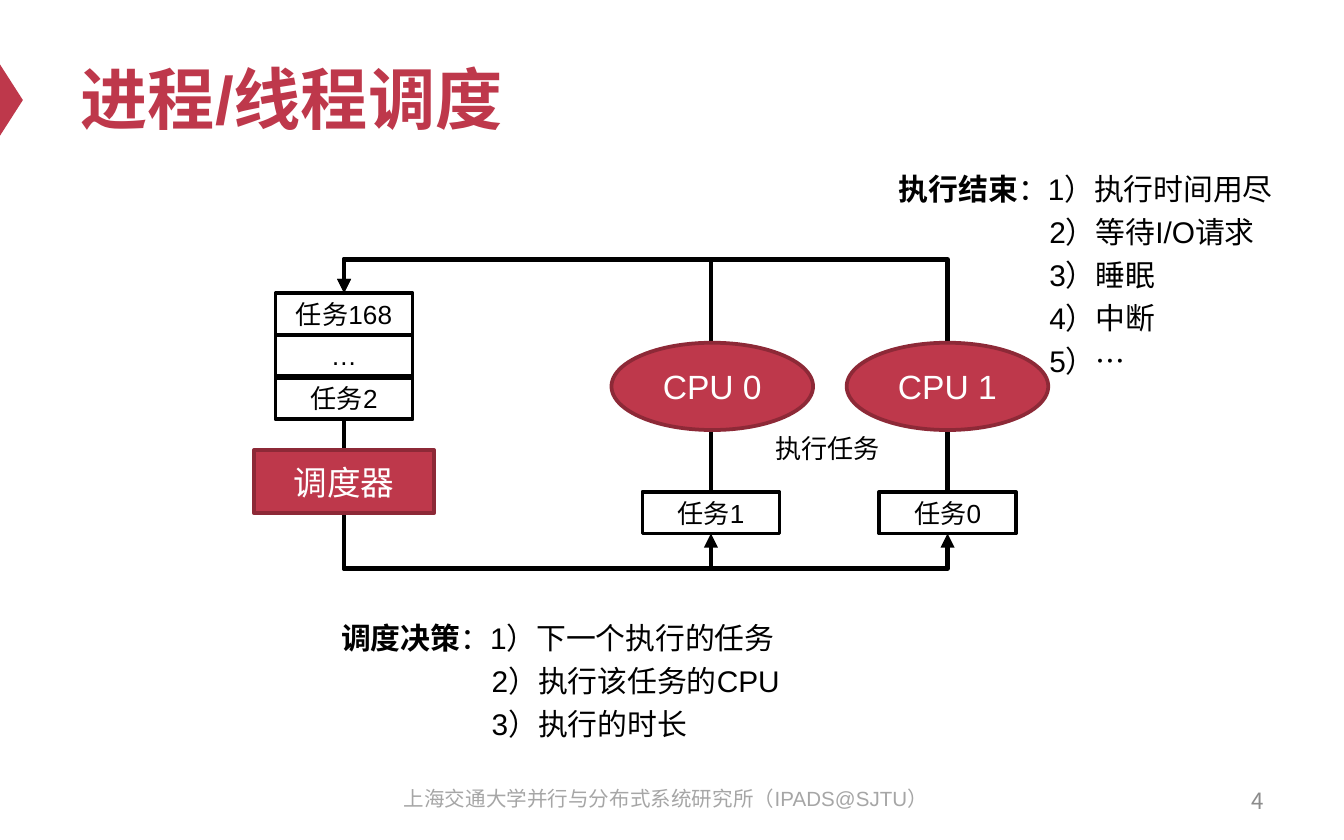
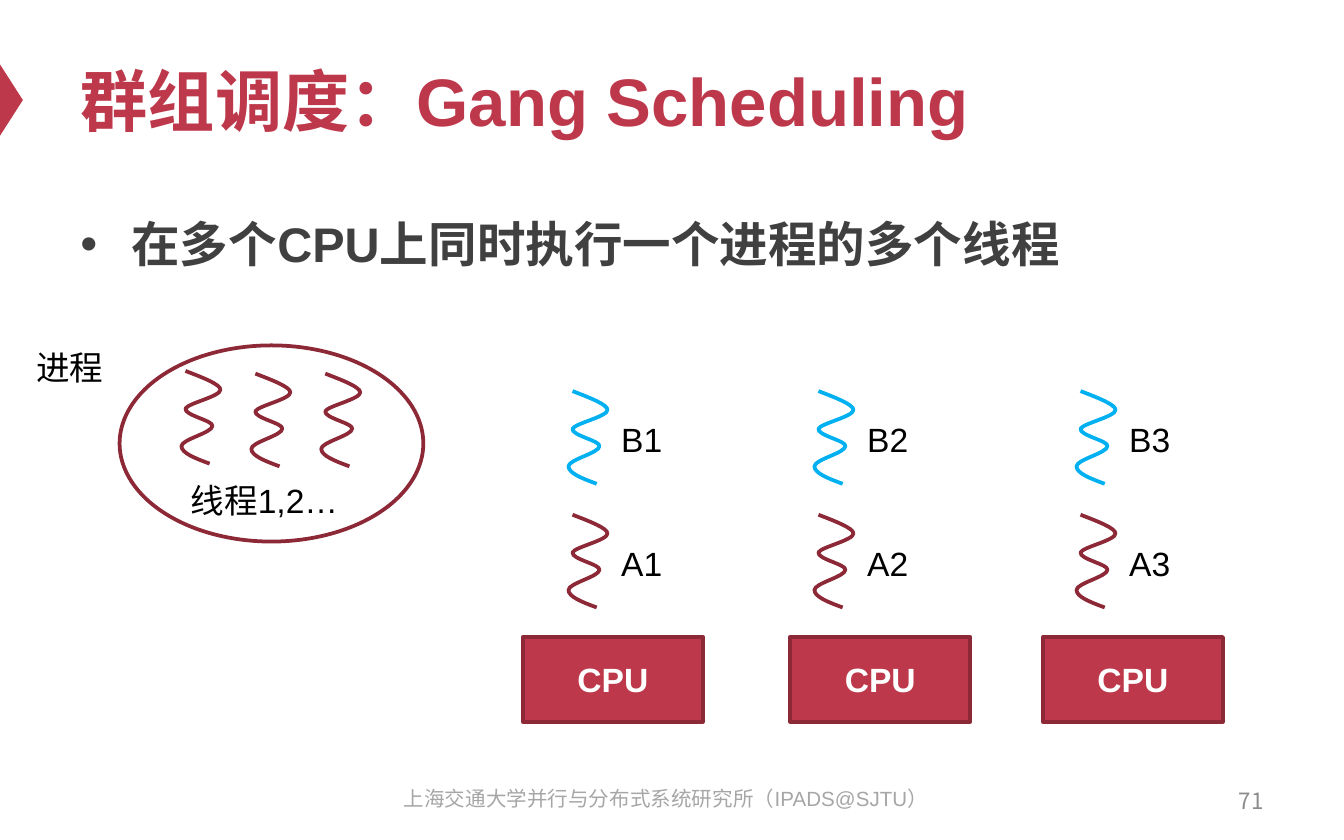
from dataclasses import dataclass
from typing import Optional

from lxml import etree
from pptx import Presentation
from pptx import util as u
from pptx.dml import color
from pptx.enum import shapes, text
from pptx.oxml import ns

# Shared look
PX = 9144  # EMU per px, 100 px to the inch
CRIMSON, MAROON, SKY = "BE384B", "8D2937", "00B0F0"
BLACK, WHITE, CHARCOAL = "000000", "FFFFFF", "404040"
LATIN, CJK = "Arial", "Noto Sans CJK SC"
FOOTER = "上海交通大学并行与分布式系统研究所（IPADS@SJTU）"

LEFT, CENTER, RIGHT = text.PP_ALIGN.LEFT, text.PP_ALIGN.CENTER, text.PP_ALIGN.RIGHT
MIDDLE, TOP = text.MSO_ANCHOR.MIDDLE, text.MSO_ANCHOR.TOP
RECT, OVAL = shapes.MSO_SHAPE.RECTANGLE, shapes.MSO_SHAPE.OVAL


@dataclass
class Box:
    x: int
    y: int
    w: int
    h: int

    def emu(self) -> list:
        return [u.Emu(n * PX) for n in (self.x, self.y, self.w, self.h)]


@dataclass
class Style:
    size: float
    color: str = BLACK
    bold: bool = False
    align: text.PP_ALIGN = LEFT
    font: str = LATIN


@dataclass
class Node:
    """A filled or outlined shape with an optional centred label."""
    box: Box
    label: str = ""
    fill: Optional[str] = None
    line: Optional[str] = MAROON
    style: Optional[Style] = None
    kind: shapes.MSO_SHAPE = RECT


def rgb(value: str) -> color.RGBColor:
    return color.RGBColor.from_string(value)


def sub(parent, tag: str, **attrs: str):
    return etree.SubElement(parent, ns.qn(tag), attrs)


def format_paragraph(paragraph, style: Style) -> None:
    paragraph.alignment = style.align
    font = paragraph.font
    font.name, font.size, font.bold = style.font, u.Pt(style.size), style.bold
    font.color.rgb = rgb(style.color)


def add_node(slide, node: Node, rotation: float = 0):
    shape = slide.shapes.add_shape(node.kind, *node.box.emu())
    shape.rotation = rotation
    shape.shadow.inherit = False
    if node.fill:
        shape.fill.solid()
        shape.fill.fore_color.rgb = rgb(node.fill)
    else:
        shape.fill.background()
    if node.line:
        shape.line.color.rgb = rgb(node.line)
        shape.line.width = u.Pt(2)
    else:
        shape.line.fill.background()
    if node.label:
        shape.text_frame.text = node.label
        shape.text_frame.vertical_anchor = MIDDLE
        format_paragraph(shape.text_frame.paragraphs[0], node.style)
    return shape


def add_label(parent, box: Box, words: str, style: Style, anchor=TOP, grow: bool = True):
    """Add a text box to a slide or a group."""
    frame = parent.shapes.add_textbox(*box.emu()).text_frame
    frame.word_wrap = True
    frame.vertical_anchor = anchor
    if grow:
        frame.auto_size = text.MSO_AUTO_SIZE.SHAPE_TO_FIT_TEXT
    frame.text = words
    format_paragraph(frame.paragraphs[0], style)
    return frame


def add_numbered_note(slide, box: Box, heading: str, items: list) -> None:
    """Bold heading with item 1 beside it and the others indented below."""
    style = Style(16)
    frame = add_label(slide, box, "", style)
    for number, item in enumerate(items, 1):
        if number == 1:
            paragraph = frame.paragraphs[0]
            lead = paragraph.add_run()
            lead.text, lead.font.bold = heading, True
            words = f"：1）{item}"
        else:
            paragraph = frame.add_paragraph()
            paragraph._p.get_or_add_pPr().set("marL", str(112 * PX))
            words = f"{number}）{item}"
        paragraph.add_run().text = words
        paragraph.line_spacing = 1.2
        format_paragraph(paragraph, style)


def add_loop_arrow(slide, start, end, side: int, via_y: int) -> None:
    """U-shaped arrow between the same side (0 top, 2 bottom) of two boxes."""
    def port(shape):
        return shape.left + shape.width // 2, shape.top + shape.height * side // 2

    (x1, y1), (x2, y2) = port(start), port(end)
    arrow = slide.shapes.add_connector(shapes.MSO_CONNECTOR.ELBOW, x1, y1, x2, y2)
    arrow.begin_connect(start, side)
    arrow.end_connect(end, side)
    # The elbow lies on its side, so width and height swap
    arrow.width, arrow.height = abs(y2 - y1), abs(x2 - x1)
    arrow.left = (x1 + x2 - arrow.width) // 2
    arrow.top = (y1 + y2 - arrow.height) // 2
    props = arrow._element.spPr
    frame = props.find(ns.qn("a:xfrm"))
    frame.set("rot", str(270 * 60000))
    frame.set("flipH", "1" if x2 > x1 else "0")
    frame.set("flipV", "0" if x2 > x1 else "1")
    bend = round((via_y * PX - y1) / (y2 - y1) * 100000)
    guides = props.find(ns.qn("a:prstGeom")).get_or_add_avLst()
    sub(guides, "a:gd", name="adj1", fmla=f"val {bend}")
    arrow.line.color.rgb = rgb(BLACK)
    arrow.line.width = u.Pt(2.5)
    sub(arrow.line._get_or_add_ln(), "a:tailEnd", type="triangle")
    sub(props, "a:effectLst")


# Thread outline: a start point, then three points for each curve
THREAD = [(3, 0),
          (16, 5), (29, 10), (29, 14), (29, 19), (5, 24), (3, 28),
          (2, 33), (24, 37), (23, 41), (23, 46), (0, 51), (0, 56),
          (0, 61), (10, 65), (21, 69)]


def add_thread(parent, x: int, y: int, line: str) -> None:
    points = [(x + dx, y + dy) for dx, dy in THREAD]
    builder = parent.shapes.build_freeform(*points[0], scale=PX)
    builder.add_line_segments(points[1:], close=False)
    thread = builder.convert_to_shape()
    # Turn each three line segments into one Bezier curve
    outline = next(thread._element.iter(ns.qn("a:path")))
    segments = outline.findall(ns.qn("a:lnTo"))
    for i in range(0, len(segments), 3):
        curve = sub(outline, "a:cubicBezTo")
        for segment in segments[i:i + 3]:
            curve.append(segment[0])
            outline.remove(segment)
    thread.fill.background()
    thread.shadow.inherit = False
    thread.line.color.rgb = rgb(line)
    thread.line.width = u.Pt(2)


def add_page(prs, heading: str, title_box: Box, number: str):
    """Title-only slide with side marker, title, footer and page number."""
    slide = prs.slides.add_slide(prs.slide_layouts[5])
    title = slide.shapes.title
    title.left, title.top, title.width, title.height = title_box.emu()
    frame = title.text_frame
    frame.text = heading
    frame.auto_size = text.MSO_AUTO_SIZE.NONE
    frame.vertical_anchor = MIDDLE
    format_paragraph(frame.paragraphs[0], Style(36, CRIMSON, True))
    marker = Node(Box(-18, 66, 53, 17), fill=CRIMSON, line=None,
                  kind=shapes.MSO_SHAPE.ISOSCELES_TRIANGLE)
    add_node(slide, marker, rotation=90)
    add_label(slide, Box(279, 580, 433, 33), FOOTER,
              Style(11, "A6A6A6", align=CENTER), grow=False)
    add_label(slide, Box(717, 579, 233, 33), number,
              Style(12, "8C8C8C", align=RIGHT, font=CJK), MIDDLE, grow=False)
    return slide


def build_scheduling(prs) -> None:
    slide = add_page(prs, "进程/线程调度", Box(50, 21, 900, 104), "4")
    task_style = Style(14, align=CENTER)
    core_style = Style(18, WHITE, align=CENTER)

    def add_task(x: int, y: int, label: str):
        return add_node(slide, Node(Box(x, y, 102, 31), label, None, BLACK, task_style))

    # Waiting queue, then one running task for each CPU
    queue = [add_task(205, 218 + 63 * row // 2, label)
             for row, label in enumerate(["任务168", "…", "任务2"])]
    running = [add_task(x, 366, label) for x, label in [(478, "任务1"), (654, "任务0")]]

    # Dispatch below, return to the queue above
    for task in running:
        add_loop_arrow(slide, queue[-1], task, side=2, via_y=423)
        add_loop_arrow(slide, task, queue[0], side=0, via_y=193)

    # Scheduler and CPUs sit over the arrows
    add_node(slide, Node(Box(189, 335, 134, 47), "调度器", CRIMSON, style=core_style))
    for core, x in enumerate([455, 630]):
        add_node(slide, Node(Box(x, 255, 150, 65), f"CPU {core}", CRIMSON,
                             style=core_style, kind=OVAL))

    # Notes
    add_label(slide, Box(567, 317, 124, 34), "执行任务", Style(14))
    add_numbered_note(slide, Box(244, 451, 461, 104), "调度决策",
                      ["下一个执行的任务", "执行该任务的CPU", "执行的时长"])
    add_numbered_note(slide, Box(659, 117, 353, 169), "执行结束",
                      ["执行时间用尽", "等待I/O请求", "睡眠", "中断", "…"])


def build_gang(prs) -> None:
    slide = add_page(prs, "群组调度：Gang Scheduling", Box(50, 25, 900, 98), "71")

    # Key point
    point_style = Style(26, CHARCOAL, True)
    frame = add_label(slide, Box(50, 146, 900, 412),
                      "在多个CPU上同时执行一个进程的多个线程", point_style, grow=False)
    point = frame.paragraphs[0]
    point.line_spacing = 1.2
    layout = point._p.get_or_add_pPr()
    layout.remove(layout.find(ns.qn("a:defRPr")))
    layout.set("marL", str(38 * PX))
    layout.set("indent", str(-38 * PX))
    sub(layout, "a:buFont", typeface=LATIN)
    sub(layout, "a:buChar", char="•")
    format_paragraph(point, point_style)

    # Process holding its threads
    add_node(slide, Node(Box(89, 257, 226, 146), fill=WHITE, kind=OVAL))
    for x, y in [(135, 276), (187, 278), (239, 278)]:
        add_thread(slide, x, y, MAROON)
    add_label(slide, Box(17, 253, 94, 40), "进程", Style(18))
    add_label(slide, Box(132, 352, 170, 40), "线程1,2…", Style(18))

    # Each CPU with the two threads waiting above it
    cpu_style = Style(18, WHITE, True, CENTER)
    for number, (cpu_x, thread_x) in enumerate([(389, 423), (588, 606), (776, 801)], 1):
        add_node(slide, Node(Box(cpu_x, 474, 134, 63), "CPU", CRIMSON, style=cpu_style))
        for gang, y, line in [("A", 383, MAROON), ("B", 291, SKY)]:
            group = slide.shapes.add_group_shape()
            add_thread(group, thread_x, y, line)
            add_label(group, Box(thread_x + 26, y + 16, 57, 40), f"{gang}{number}",
                      Style(18, align=CENTER))


def main() -> None:
    prs = Presentation()
    prs.slide_width, prs.slide_height = u.Emu(1000 * PX), u.Emu(625 * PX)
    build_scheduling(prs)
    build_gang(prs)
    prs.save("out.pptx")


if __name__ == "__main__":
    main()
